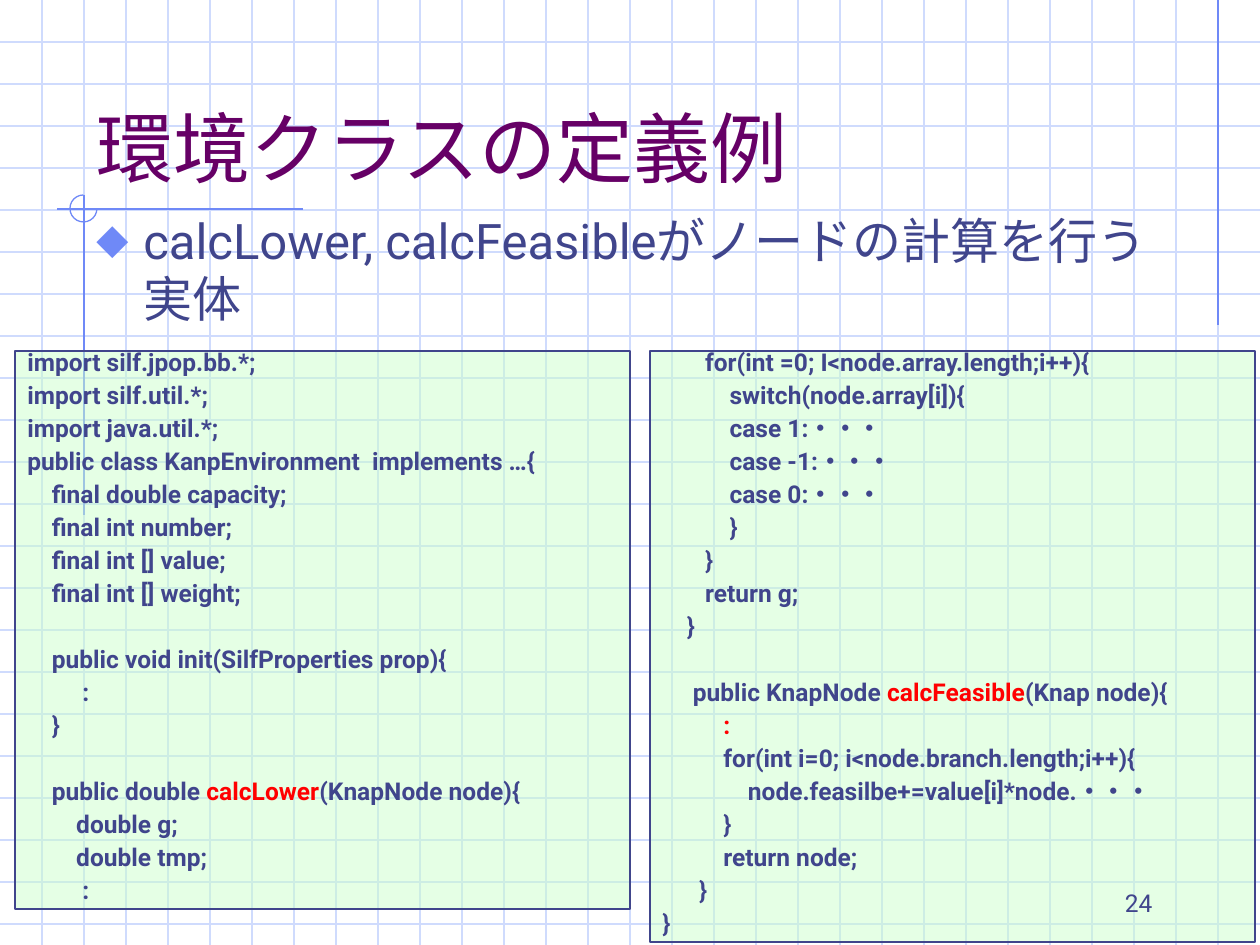
from lxml.etree import SubElement as Sub
from pptx import Presentation as Deck
from pptx.dml.color import RGBColor as Rgb
from pptx.enum.shapes import MSO_CONNECTOR as Conn, MSO_SHAPE as Form
from pptx.enum.text import MSO_ANCHOR as Anchor, PP_ALIGN as Align
from pptx.oxml.ns import qn
from pptx.util import Pt

SCALE = 914400 / 126
WIDE, HIGH, STEP = 1260, 945, 42
FACE = "Roboto"
HUES = {"grid": "CFDBFD", "mark": "6F89F7", "title": "660066",
        "text": "40458C", "code": "CCFFCC", "key": "FF0000"}
LEAD, ROW = 8.8, 18.86

LEFT = """\
import silf.jpop.bb.*;
import silf.util.*;
import java.util.*;
public class KanpEnvironment  implements …{
    final double capacity;
    final int number;
    final int [] value;
    final int [] weight;

    public void init(SilfProperties prop){
         :
    }

    public double |calcLower|(KnapNode node){
        double g;
        double tmp;
         :"""
RIGHT = """\
       for(int =0; I<node.array.length;i++){
           switch(node.array[i]){
           case 1:・・・
           case -1:・・・
           case 0:・・・
           }
       }
       return g;
    }

     public KnapNode| calcFeasible|(Knap node){
|          :|
          for(int i=0; i<node.branch.length;i++){
              node.feasilbe+=value[i]*node.・・・
          }
          return node;
      }
}"""


def px(num):
    return round(num * SCALE)


def rgb(name):
    return Rgb.from_string(HUES[name])


def apply(item, vals):
    for name, val in vals.items():
        setattr(item, name, val)


def stroke(shape, hue):
    shape.line.color.rgb = rgb(hue)
    shape.line.width = Pt(0.75)


def rule(slide, ends, hue):
    line = slide.shapes.add_connector(Conn.STRAIGHT, *map(px, ends))
    stroke(line, hue)
    Sub(line._element.spPr, qn("a:effectLst"))


def write(para, text, size, hue, bold=False):
    run = para.add_run()
    run.text = text
    apply(run.font, {"name": FACE, "size": Pt(size), "bold": bold})
    run.font.color.rgb = rgb(hue)
    Sub(run._r.get_or_add_rPr(), qn("a:ea"), typeface=FACE)


def frame(shape, anchor):
    apply(shape.text_frame, {
        "word_wrap": True, "vertical_anchor": anchor,
        "margin_left": px(12.6), "margin_right": px(12.6),
        "margin_top": px(6.3), "margin_bottom": px(6.3)})
    return shape.text_frame


def label(slide, area, text, size, hue, anchor=Anchor.BOTTOM, align=Align.LEFT):
    box = slide.shapes.add_textbox(*map(px, area))
    para = frame(box, anchor).paragraphs[0]
    para.alignment = align
    write(para, text, size, hue)
    return para


def bullet(para):
    props = para._p.get_or_add_pPr()
    for name, val in {"marL": px(47), "indent": px(-47)}.items():
        props.set(name, str(val))
    Sub(Sub(props, qn("a:buClr")), qn("a:srgbClr"), val=HUES["mark"])
    Sub(props, qn("a:buSzPct"), val="85000")
    Sub(props, qn("a:buFont"), typeface=FACE)
    Sub(props, qn("a:buChar"), char="◆")


def code(slide, area, text):
    box = slide.shapes.add_shape(Form.RECTANGLE, *map(px, area))
    box.shadow.inherit = False
    box.fill.solid()
    box.fill.fore_color.rgb = rgb("code")
    tint = box._element.spPr.find(".//" + qn("a:srgbClr"))
    Sub(tint, qn("a:alpha"), val="50000")
    stroke(box, "text")
    body = frame(box, Anchor.TOP)
    para, gap = body.paragraphs[0], 0
    for line in text.splitlines():
        if not line:
            gap += ROW
            continue
        if para is None:
            para = body.add_paragraph()
        apply(para, {"alignment": Align.LEFT, "line_spacing": 0.6,
                     "space_before": Pt(gap)})
        for spot, part in enumerate(line.split("|")):
            if part:
                write(para, part, 14, "key" if spot % 2 else "text", True)
        para, gap = None, LEAD


def grid(slide):
    for y in range(STEP, HIGH, STEP):
        rule(slide, (0, y, WIDE, y), "grid")
    for x in range(STEP, WIDE, STEP):
        rule(slide, (x, 0, x, HIGH), "grid")


def marks(slide):
    for ends in ((1218, 0, 1218, 325), (303, 209, 57, 209), (84, 195, 84, 515)):
        rule(slide, ends, "mark")
    arc = slide.shapes.add_shape(Form.ARC, *map(px, (70, 195, 27, 27)))
    arc.shadow.inherit = False
    arc.adjustments[0], arc.adjustments[1] = 0, 162
    arc.fill.background()
    stroke(arc, "mark")


def main():
    deck = Deck()
    apply(deck, {"slide_width": px(WIDE), "slide_height": px(HIGH)})
    slide = deck.slides.add_slide(deck.slide_layouts[6])
    grid(slide)
    marks(slide)
    label(slide, (84, 42, 1071, 157), "環境クラスの定義例", 44, "title")
    bullet(label(slide, (84, 204, 1121, 139),
                 "calcLower, calcFeasibleがノードの計算を行う実体",
                 28, "text", Anchor.TOP))
    code(slide, (15, 351, 615, 558), LEFT)
    code(slide, (650, 351, 605, 591), RIGHT)
    label(slide, (903, 861, 262, 63), "24", 14, "text", align=Align.RIGHT)
    deck.save("out.pptx")


if __name__ == "__main__":
    main()
